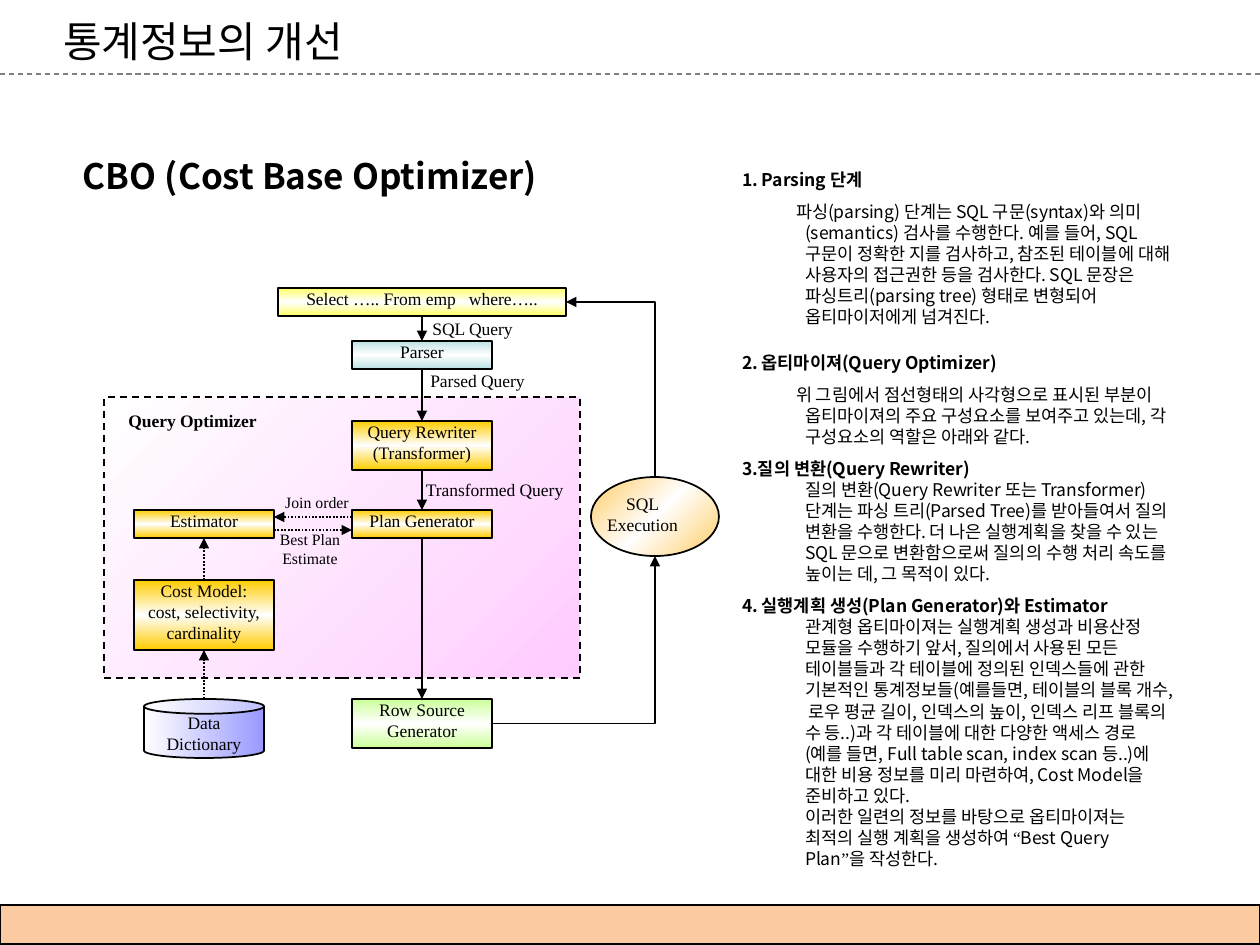
from itertools import groupby

from lxml.etree import SubElement
from pptx import Presentation
from pptx.dml.color import RGBColor
from pptx.enum.dml import MSO_LINE as Dash
from pptx.enum.shapes import MSO_CONNECTOR as Link, MSO_SHAPE as Preset
from pptx.enum.text import MSO_ANCHOR as Anchor, MSO_AUTO_SIZE as Fit, PP_ALIGN as Align
from pptx.oxml.ns import qn
from pptx.util import Pt

PX = 7200 * 127 / 126  # EMU in one px, 126 px to the inch


class Theme:
    sans, serif = "Noto Sans CJK KR", "Times New Roman"
    ink, rule, bar = "000000", "808080", "F97407"
    bar_opacity = 38
    title, subtitle, text, small = 24, 20, 10, 9
    hairline, stroke = 0.75, 1
    yellow = ("FFFF66", "FFFFFF", "FFFF66")
    teal = ("BBE0E3", "FFFFFF", "BBE0E3")
    gold = ("FFCC00", "FFFFFF", "FFCC00")
    green = ("CCFF99", "FFFFFF", "CCFF99")
    orange = ("FFCC66", "FFFFFF", "FFCC66")
    pink = ("FFFFFF", "FFCCFF")
    blue = ("FFFFFF", "9999FF")


# Content
TITLE = "통계정보의 개선"
SUBTITLE = "CBO (Cost Base Optimizer)"

# key: (text, centre x, top, width, height, colours)
MAIN_X, SIDE_X, LOOP_X = 422, 204, 655
STEPS = {
    "select": ("Select ….. From emp   where…..", MAIN_X, 288, 288, 28, Theme.yellow),
    "parser": ("Parser", MAIN_X, 341, 140, 28, Theme.teal),
    "rewriter": ("Query Rewriter\v(Transformer)", MAIN_X, 421, 140, 49, Theme.gold),
    "plan": ("Plan Generator", MAIN_X, 510, 140, 28, Theme.gold),
    "estimator": ("Estimator", SIDE_X, 510, 140, 28, Theme.gold),
    "cost": ("Cost Model:\vcost, selectivity,\vcardinality", SIDE_X, 580, 140, 70, Theme.gold),
    "rows": ("Row Source\vGenerator", MAIN_X, 699, 140, 49, Theme.green),
}
# (from, side, to, side, dash)
FLOWS = [
    ("select", 2, "parser", 0, None),
    ("parser", 2, "rewriter", 0, None),
    ("rewriter", 2, "plan", 0, None),
    ("plan", 2, "rows", 0, None),
    ("cost", 0, "estimator", 2, Dash.ROUND_DOT),
]
# (text, left, top, width, height, size, bold)
LABELS = [
    ("Data\vDictionary", 140, 712, 128, 49, Theme.text, False),
    ("SQL\vExecution", 583, 493, 119, 49, Theme.text, False),
    ("Query Optimizer", 113, 410, 159, 28, Theme.text, True),
    ("Join order", 267, 493, 100, 25, Theme.small, False),
    ("Best Plan\vEstimate", 260, 530, 100, 44, Theme.small, False),
    ("SQL Query", 388, 318, 169, 28, Theme.text, False),
    ("Parsed Query", 393, 370, 169, 28, Theme.text, False),
    ("Transformed Query", 410, 479, 169, 28, Theme.text, False),
]
# (lines, bold first line, first-line indent px, space before pt, line spacing)
NOTES = [
    (["1. Parsing 단계"], True, -63, 0, 1.2),
    (["파싱(parsing) 단계는 SQL 구문(syntax)와 의미(semantics) 검사를 수행한다. 예를 들어, SQL 구문이 정확한 지를 "
      "검사하고, 참조된 테이블에 대해 사용자의 접근권한 등을 검사한다. SQL 문장은 파싱트리(parsing tree) 형태로 "
      "변형되어 옵티마이저에게 넘겨진다."], False, -9, 6.2, 1),
    (["2. 옵티마이져(Query Optimizer)"], True, -63, 12, 1.2),
    (["위 그림에서 점선형태의 사각형으로 표시된 부분이 옵티마이져의 주요 구성요소를 보여주고 있는데, "
      "각 구성요소의 역할은 아래와 같다."], False, -9, 6.2, 1),
    (["3.질의 변환(Query Rewriter)",
      "질의 변환(Query Rewriter 또는 Transformer) 단계는 파싱 트리(Parsed Tree)를 받아들여서 질의 변환을 수행한다. "
      "더 나은 실행계획을 찾을 수 있는 SQL 문으로 변환함으로써 질의의 수행 처리 속도를 높이는 데, 그 목적이 있다."],
     True, -63, 6.2, 1),
    (["4. 실행계획 생성(Plan Generator)와 Estimator",
      "관계형 옵티마이져는 실행계획 생성과 비용산정 모듈을 수행하기 앞서, 질의에서 사용된 모든 테이블들과 각 테이블에 "
      "정의된 인덱스들에 관한 기본적인 통계정보들(예를들면, 테이블의 블록 개수, 로우 평균 길이, 인덱스의 높이, 인덱스 "
      "리프 블록의 수 등..)과 각 테이블에 대한 다양한 액세스 경로(예를 들면, Full table scan, index scan 등..)에 대한 "
      "비용 정보를 미리 마련하여, Cost Model을 준비하고 있다.",
      "이러한 일련의 정보를 바탕으로 옵티마이져는 최적의 실행 계획을 생성하여 “Best Query Plan”을 작성한다."],
     True, -63, 6.2, 1),
]


def px(*lengths):
    return [round(length * PX) for length in lengths]


def style_run(run, size, font, bold=False):
    run.font.size, run.font.bold, run.font.name = Pt(size), bold, font
    run.font.color.rgb = RGBColor.from_string(Theme.ink)
    SubElement(run._r.get_or_add_rPr(), qn("a:ea"), typeface=font)


def set_frame(frame, top=0, anchor=Anchor.TOP):
    frame.word_wrap, frame.auto_size, frame.vertical_anchor = True, Fit.NONE, anchor
    frame.margin_left, frame.margin_top, frame.margin_right, frame.margin_bottom = px(13, top, 13, 6)


def write(frame, text, size, font, bold=False, align=Align.CENTER):
    frame.text = text
    paragraph = frame.paragraphs[0]
    paragraph.alignment = align
    for run in paragraph.runs:
        style_run(run, size, font, bold)
    return paragraph


def place(shape, *box):
    shape.left, shape.top, shape.width, shape.height = px(*box)


def set_line(line, color=Theme.ink, width=Theme.stroke, dash=None):
    line.color.rgb = RGBColor.from_string(color)
    line.width = Pt(width)
    if dash:
        line.dash_style = dash


def add_block(preset, box, colors, angle=90, dash=None):
    block = slide.shapes.add_shape(preset, *px(*box))
    block.shadow.inherit = False
    set_line(block.line, dash=dash)
    block.fill.gradient()
    block.fill.gradient_angle = (360 - angle) % 360
    stops = block._element.spPr.find(".//" + qn("a:gsLst"))
    stops.clear()
    for i, color in enumerate(colors):
        stop = SubElement(stops, qn("a:gs"), pos=str(100000 * i // (len(colors) - 1)))
        SubElement(stop, qn("a:srgbClr"), val=color)
    return block


def add_link(ends, kind=Link.STRAIGHT, arrow="tailEnd", dash=None, color=Theme.ink, width=Theme.stroke):
    link = slide.shapes.add_connector(kind, *px(*ends))
    set_line(link.line, color, width, dash)
    properties = link._element.spPr
    if arrow:
        SubElement(link.line._get_or_add_ln(), qn("a:" + arrow), type="triangle")
    if kind == Link.ELBOW:
        properties.find(qn("a:prstGeom")).set("prst", "bentConnector2")
    SubElement(properties, qn("a:effectLst"))
    return link


deck = Presentation()
deck.slide_width, deck.slide_height = px(1260, 945)
slide = deck.slides.add_slide(deck.slide_layouts[1])
title, notes = slide.placeholders

# Title, header rule and footer bar
place(title, 50, 16, 1166, 49)
set_frame(title.text_frame, 6, Anchor.MIDDLE)
write(title.text_frame, TITLE, Theme.title, Theme.sans, align=Align.LEFT)
add_link((0, 74, 1260, 74), arrow=None, dash=Dash.DASH, color=Theme.rule, width=Theme.hairline)
footer = slide.shapes.add_shape(Preset.RECTANGLE, *px(0, 905, 1260, 39))
footer.shadow.inherit = False
footer.fill.solid()
footer.fill.fore_color.rgb = RGBColor.from_string(Theme.bar)
SubElement(footer._element.spPr.find(".//" + qn("a:srgbClr")), qn("a:alpha"), val=str(Theme.bar_opacity * 1000))
set_line(footer.line, width=Theme.hairline)

# Subtitle
subtitle = slide.shapes.add_textbox(*px(70, 140, 1166, 59))
set_frame(subtitle.text_frame, 6)
write(subtitle.text_frame, SUBTITLE, Theme.subtitle, Theme.sans, True, Align.LEFT).line_spacing = 1.2

# Optimizer area, steps, dictionary and execution
add_block(Preset.RECTANGLE, (104, 397, 476, 281), Theme.pink, 45, Dash.DASH)
steps = {}
for key, (text, center, top, width, height, colors) in STEPS.items():
    steps[key] = add_block(Preset.RECTANGLE, (center - width / 2, top, width, height), colors)
    set_frame(steps[key].text_frame)
    write(steps[key].text_frame, text, Theme.text, Theme.serif)
add_block(Preset.CAN, (SIDE_X - 60, 699, 120, 59), Theme.blue, 0)
execution = add_block(Preset.OVAL, (LOOP_X - 64, 477, 128, 79), Theme.orange, 45)

# Arrows
for start, start_side, end, end_side, dash in FLOWS:
    flow = add_link((0, 0, 0, 0), dash=dash)
    flow.begin_connect(steps[start], start_side)
    flow.end_connect(steps[end], end_side)
add_link((SIDE_X, 699, SIDE_X, 651), dash=Dash.ROUND_DOT).end_connect(steps["cost"], 2)
for ends in [(352, 517, 274, 517), (274, 530, 352, 530)]:
    add_link(ends, dash=Dash.ROUND_DOT)
add_link((492, 724, LOOP_X, 556), Link.ELBOW).begin_connect(steps["rows"], 3)
back = add_link((566, 302, LOOP_X, 477), Link.ELBOW, "headEnd")
back.begin_connect(steps["select"], 3)
back.end_connect(execution, 0)

# Labels
for text, left, top, width, height, size, bold in LABELS:
    label = slide.shapes.add_textbox(*px(left, top, width, height))
    set_frame(label.text_frame)
    write(label.text_frame, text, size, Theme.serif, bold)

# Explanations
place(notes, 729, 165, 456, 711)
set_frame(notes.text_frame)
for i, (lines, headed, indent, before, spacing) in enumerate(NOTES):
    note = notes.text_frame.paragraphs[0] if i == 0 else notes.text_frame.add_paragraph()
    note.space_before, note.line_spacing = Pt(before), spacing
    layout = note._p.get_or_add_pPr()
    layout.set("marL", str(px(63)[0]))
    layout.set("indent", str(px(indent)[0]))
    SubElement(layout, qn("a:buNone"))
    for j, line in enumerate(lines):
        if j:
            note.add_line_break()
        for quoted, piece in groupby(line, lambda letter: letter in "“”"):
            run = note.add_run()
            run.text = "".join(piece)
            style_run(run, Theme.text, Theme.serif if quoted else Theme.sans, headed and j == 0)

deck.save("out.pptx")
